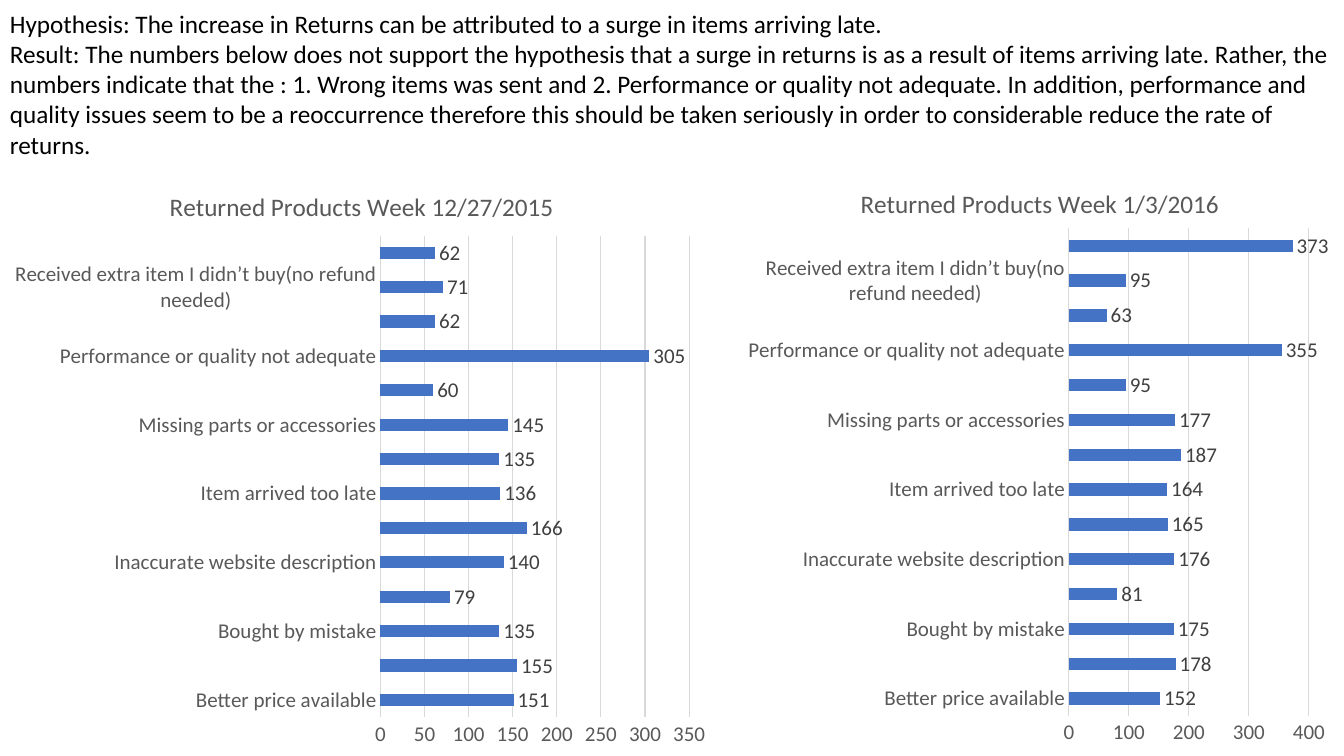
from lxml import etree
from pptx import Presentation
from pptx.chart.data import CategoryChartData
from pptx.dml.color import RGBColor
from pptx.enum.chart import XL_CHART_TYPE, XL_LABEL_POSITION, XL_TICK_MARK
from pptx.oxml.ns import qn
from pptx.util import Inches, Pt

BAR = XL_CHART_TYPE.BAR_CLUSTERED
OUTSIDE_END = XL_LABEL_POSITION.OUTSIDE_END
NO_TICK = XL_TICK_MARK.NONE

SLIDE_W, SLIDE_H = 13.33, 7.5
FONT = "Calibri"
BLACK, GREY, DARK_GREY = "000000", "595959", "404040"
GRID, BLUE = "D9D9D9", "4472C4"

FINDINGS = [
    "Hypothesis: The increase in Returns can be attributed to a surge in items "
    "arriving late.",
    "Result: The numbers below does not support the hypothesis that a surge in "
    "returns is as a result of items arriving late. Rather, the numbers indicate "
    "that the : 1. Wrong items was sent and 2. Performance or quality not adequate. "
    "In addition, performance and quality issues seem to be a reoccurrence therefore "
    "this should be taken seriously in order to considerable reduce the rate of "
    "returns.",
]
REASONS = [
    "Better price available", "Both product and shipping box damaged",
    "Bought by mistake", "Didn’t approve purchase",
    "Inaccurate website description", "Incompatible or not useful",
    "Item arrived too late", "Item defective or doesn’t work",
    "Missing parts or accessories", "No longer needed",
    "Performance or quality not adequate", "Product damaged but shipping box OK",
    "Received extra item I didn’t buy(no refund needed)", "Wrong item was sent",
]
# Box in inches; title and plot areas as shares of the chart's size
WEEKS = [
    dict(title="Returned Products Week 12/27/2015", box=(0, 1.6, 7.12, 5.9),
         values=[151, 155, 135, 79, 140, 166, 136, 135, 145, 60, 305, 62, 71, 62],
         top=350, step=50, title_at=dict(x=0.23, y=0.04),
         plot_at=dict(x=0.53, y=0.125, w=0.43, h=0.81)),
    dict(title="Returned Products Week 1/3/2016", box=(7.3, 1.57, 5.95, 5.95),
         values=[152, 178, 175, 81, 176, 165, 164, 187, 177, 95, 355, 63, 95, 373],
         top=400, step=100, title_at=dict(x=0.2, y=0.04),
         plot_at=dict(x=0.555, y=0.117, w=0.4, h=0.813)),
]


def rgb(color):
    return RGBColor.from_string(color)


def set_font(font, size, color):
    font.name, font.size, font.bold = FONT, Pt(size), False
    font.color.rgb = rgb(color)


def set_line(line, color):
    line.color.rgb = rgb(color)
    line.width = Pt(0.75)


def set_layout(parent, index, shares, inner=False):
    """Place a chart part by shares of the chart's width and height."""
    for old in parent.findall(qn("c:layout")):
        parent.remove(old)
    layout = etree.Element(qn("c:layout"))
    manual = etree.SubElement(layout, qn("c:manualLayout"))
    settings = [("layoutTarget", "inner")] if inner else []
    settings += [("xMode", "edge"), ("yMode", "edge"), *shares.items()]
    for tag, value in settings:
        etree.SubElement(manual, qn(f"c:{tag}")).set("val", str(value))
    parent.insert(index, layout)


def add_text(s, paragraphs, box):
    tf = s.shapes.add_textbox(*map(Inches, box)).text_frame
    tf.word_wrap = True
    for i, text in enumerate(paragraphs):
        p = tf.add_paragraph() if i else tf.paragraphs[0]
        p.text = text
        set_font(p.font, 18, BLACK)


def style_axis(axis):
    axis.major_tick_mark = axis.minor_tick_mark = NO_TICK
    set_font(axis.tick_labels.font, 15, GREY)


def add_returns_chart(s, week):
    data = CategoryChartData()
    data.categories = REASONS
    data.add_series("Series 1", week["values"])
    chart = s.shapes.add_chart(BAR, *map(Inches, week["box"]), data).chart
    set_font(chart.font, 15, BLACK)
    chart.has_legend = False

    # Title
    p = chart.chart_title.text_frame.paragraphs[0]
    p.text = week["title"]
    set_font(p.font, 18, GREY)
    c = chart.element.chart
    set_layout(c.find(qn("c:title")), 1, week["title_at"])
    set_layout(c.plotArea, 0, week["plot_at"], inner=True)

    # Axes
    style_axis(chart.category_axis)
    set_line(chart.category_axis.format.line, GRID)
    chart.category_axis.has_major_gridlines = False
    axis = chart.value_axis
    style_axis(axis)
    axis.format.line.fill.background()
    axis.minimum_scale, axis.maximum_scale = 0, week["top"]
    axis.major_unit = week["step"]
    set_line(axis.major_gridlines.format.line, GRID)

    # Bars and value labels
    plot = chart.plots[0]
    plot.gap_width = 182
    plot.vary_by_categories = False
    series = plot.series[0]
    series.format.fill.solid()
    series.format.fill.fore_color.rgb = rgb(BLUE)
    labels = series.data_labels
    labels.show_value = True
    labels.position = OUTSIDE_END
    set_font(labels.font, 15, DARK_GREY)


def main():
    prs = Presentation()
    prs.slide_width, prs.slide_height = Inches(SLIDE_W), Inches(SLIDE_H)
    s = prs.slides.add_slide(prs.slide_layouts[6])
    add_text(s, FINDINGS, (0, 0.03, SLIDE_W, 2.22))
    for week in WEEKS:
        add_returns_chart(s, week)
    prs.save("out.pptx")


main()
